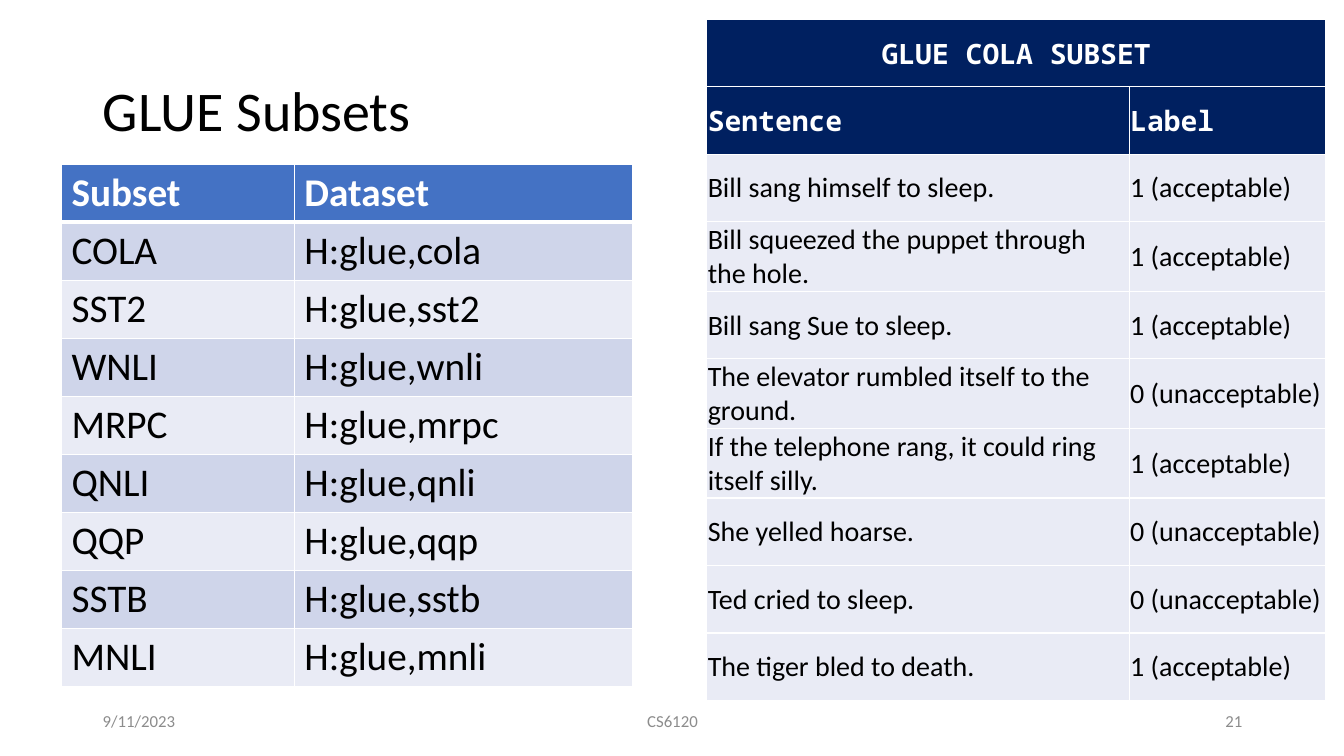
from dataclasses import dataclass

from lxml.etree import SubElement
from pptx import Presentation
from pptx.dml.color import RGBColor
from pptx.enum.text import MSO_ANCHOR, MSO_AUTO_SIZE, PP_ALIGN
from pptx.oxml.ns import qn
from pptx.slide import Slide
from pptx.table import _Cell
from pptx.text.text import TextFrame
from pptx.util import Inches, Pt


@dataclass(frozen=True)
class Theme:
    sans: str = "Calibri"
    mono: str = "Noto Sans Mono"
    black: str = "000000"
    white: str = "FFFFFF"
    gray: str = "8C8C8C"
    blue: str = "4472C4"
    navy: str = "002060"
    band: str = "CFD5EA"
    pale: str = "E9EBF5"
    title_size: int = 40
    subset_size: int = 28
    cola_size: int = 20
    footer_size: int = 12


THEME = Theme()


@dataclass(frozen=True)
class TextStyle:
    size: int
    color: str
    font: str = THEME.sans
    bold: bool = False
    align: PP_ALIGN = PP_ALIGN.LEFT


@dataclass(frozen=True)
class Grid:
    left: float
    top: float
    widths: tuple[float, ...]
    row_height: float
    rows: list[tuple[str, ...]]
    header_rows: int
    header_fill: str
    body_fills: tuple[str, ...]
    header_style: TextStyle
    body_style: TextStyle
    header_rule: float = 1
    anchor: MSO_ANCHOR = MSO_ANCHOR.TOP
    margins: tuple[float, float, float, float] = (0.1, 0.05, 0.1, 0.05)


@dataclass(frozen=True)
class FooterItem:
    text: str
    left: float
    width: float
    align: PP_ALIGN


SUBSETS = ["COLA", "SST2", "WNLI", "MRPC", "QNLI", "QQP", "SSTB", "MNLI"]
ACCEPTABLE = "1 (acceptable)"
UNACCEPTABLE = "0 (unacceptable)"

SUBSET_GRID = Grid(
    left=0.61, top=1.63, widths=(2.31, 3.35), row_height=0.57,
    rows=[("Subset", "Dataset")] + [(name, f"H:glue,{name.lower()}") for name in SUBSETS],
    header_rows=1, header_fill=THEME.blue, body_fills=(THEME.band, THEME.pale),
    header_style=TextStyle(THEME.subset_size, THEME.white, bold=True),
    body_style=TextStyle(THEME.subset_size, THEME.black),
    header_rule=3,
)

COLA_GRID = Grid(
    left=7.01, top=0.19, widths=(4.19, 1.95), row_height=0.67,
    rows=[
        ("GLUE COLA SUBSET", ""),
        ("Sentence", "Label"),
        ("Bill sang himself to sleep.", ACCEPTABLE),
        ("Bill squeezed the puppet through the hole.", ACCEPTABLE),
        ("Bill sang Sue to sleep.", ACCEPTABLE),
        ("The elevator rumbled itself to the ground.", UNACCEPTABLE),
        ("If the telephone rang, it could ring itself silly.", ACCEPTABLE),
        ("She yelled hoarse.", UNACCEPTABLE),
        ("Ted cried to sleep.", UNACCEPTABLE),
        ("The tiger bled to death.", ACCEPTABLE),
    ],
    header_rows=2, header_fill=THEME.navy, body_fills=(THEME.pale,),
    header_style=TextStyle(THEME.cola_size, THEME.white, THEME.mono, True),
    body_style=TextStyle(THEME.cola_size, THEME.black),
    anchor=MSO_ANCHOR.MIDDLE, margins=(0.01, 0.01, 0.01, 0),
)

FOOTER = [
    FooterItem("9/11/2023", 0.92, 3, PP_ALIGN.LEFT),
    FooterItem("CS6120", 4.42, 4.5, PP_ALIGN.CENTER),
    FooterItem("21", 9.42, 3, PP_ALIGN.RIGHT),
]


def write(frame: TextFrame, text: str, style: TextStyle) -> None:
    frame.text = text
    frame.word_wrap = True
    paragraph = frame.paragraphs[0]
    paragraph.alignment = style.align
    for run in paragraph.runs:
        run.font.size = Pt(style.size)
        run.font.name = style.font
        run.font.bold = style.bold
        run.font.color.rgb = RGBColor.from_string(style.color)


def add_borders(cell: _Cell, bottom: float) -> None:
    properties = cell._tc.get_or_add_tcPr()
    for side, width in (("L", 1), ("R", 1), ("T", 1), ("B", bottom)):
        line = SubElement(properties, qn(f"a:ln{side}"), w=str(Pt(width)))
        SubElement(SubElement(line, qn("a:solidFill")), qn("a:srgbClr"), val=THEME.white)


def add_grid(slide: Slide, grid: Grid):
    table = slide.shapes.add_table(
        len(grid.rows), len(grid.widths), Inches(grid.left), Inches(grid.top),
        Inches(sum(grid.widths)), Inches(grid.row_height * len(grid.rows)),
    ).table
    table.horz_banding = False
    for column, width in zip(table.columns, grid.widths):
        column.width = Inches(width)
    for index, (row, texts) in enumerate(zip(table.rows, grid.rows)):
        row.height = Inches(grid.row_height)
        body_index = index - grid.header_rows
        is_header = body_index < 0
        body_fill = grid.body_fills[body_index % len(grid.body_fills)]
        for cell, text in zip(row.cells, texts):
            write(cell.text_frame, text, grid.header_style if is_header else grid.body_style)
            cell.vertical_anchor = grid.anchor
            cell.margin_left, cell.margin_top, cell.margin_right, cell.margin_bottom = map(
                Inches, grid.margins
            )
            add_borders(cell, grid.header_rule if is_header else 1)
            cell.fill.solid()
            cell.fill.fore_color.rgb = RGBColor.from_string(
                grid.header_fill if is_header else body_fill
            )
    return table


def add_title(slide: Slide) -> None:
    title = slide.shapes.title
    title.left, title.top, title.width, title.height = map(Inches, (0.92, 0.4, 11.5, 1.45))
    write(title.text_frame, "GLUE Subsets", TextStyle(THEME.title_size, THEME.black))
    title.text_frame.auto_size = MSO_AUTO_SIZE.NONE
    title.text_frame.vertical_anchor = MSO_ANCHOR.MIDDLE
    title.text_frame.paragraphs[0].line_spacing = 0.9


def add_footer_item(slide: Slide, item: FooterItem) -> None:
    frame = slide.shapes.add_textbox(
        Inches(item.left), Inches(6.95), Inches(item.width), Inches(0.4)
    ).text_frame
    write(frame, item.text, TextStyle(THEME.footer_size, THEME.gray, align=item.align))
    frame.vertical_anchor = MSO_ANCHOR.MIDDLE


def main() -> None:
    deck = Presentation()
    deck.slide_width, deck.slide_height = Inches(13.33), Inches(7.5)
    slide = deck.slides.add_slide(deck.slide_layouts[5])
    add_title(slide)
    add_grid(slide, SUBSET_GRID)
    cola = add_grid(slide, COLA_GRID)
    heading = cola.cell(0, 0)
    heading.merge(cola.cell(0, 1))
    heading.text_frame.paragraphs[0].alignment = PP_ALIGN.CENTER
    for item in FOOTER:
        add_footer_item(slide, item)
    deck.save("out.pptx")


if __name__ == "__main__":
    main()
